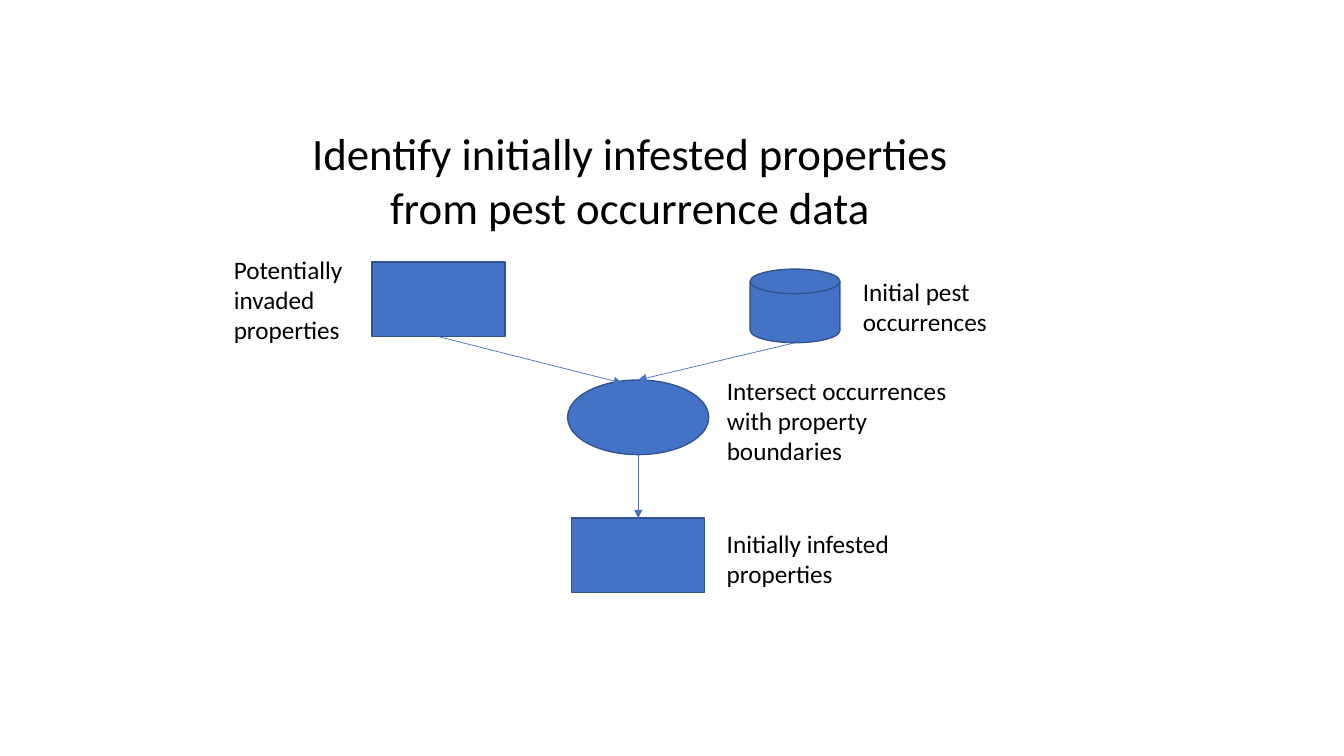
"""Build a flow slide on finding initially infested properties."""
from lxml import etree
from pptx import Presentation
from pptx.dml.color import RGBColor
from pptx.enum.shapes import MSO_CONNECTOR, MSO_SHAPE
from pptx.enum.text import MSO_AUTO_SIZE, PP_ALIGN
from pptx.oxml.ns import qn
from pptx.util import Inches, Pt

BLUE = RGBColor(0x44, 0x72, 0xC4)
DARK_BLUE = RGBColor(0x32, 0x54, 0x91)
BLACK = RGBColor(0, 0, 0)

NODES = {
    "occurrences": (MSO_SHAPE.FLOWCHART_MAGNETIC_DISK, (7.44, 2.67, 0.89, 0.73)),
    "intersect": (MSO_SHAPE.OVAL, (5.63, 3.77, 1.4, 0.74)),
    "infested": (MSO_SHAPE.RECTANGLE, (5.67, 5.14, 1.32, 0.74)),
    "invaded": (MSO_SHAPE.RECTANGLE, (3.69, 2.6, 1.32, 0.74)),
}
TEXTS = [
    ("Initial pest occurrences", (8.46, 2.69, 1.48, 0.71), 18, PP_ALIGN.LEFT),
    ("Intersect occurrences with property boundaries", (7.11, 3.67, 2.58, 1.01), 18, PP_ALIGN.LEFT),
    ("Initially infested properties", (7.11, 5.19, 2.53, 0.71), 18, PP_ALIGN.LEFT),
    ("Potentially invaded properties", (2.22, 2.47, 1.39, 1.01), 18, PP_ALIGN.LEFT),
    ("Identify initially infested properties from pest occurrence data",
     (2.96, 1.2, 6.58, 1.18), 32, PP_ALIGN.CENTER),
]
ARROWS = [
    ("invaded", "intersect", (-0.16, 0.03)),
    ("occurrences", "intersect", (0, 0)),
    ("intersect", "infested", (0, 0)),
]


def add_node(slide, kind, box):
    shape = slide.shapes.add_shape(kind, *map(Inches, box))
    shape.shadow.inherit = False
    shape.fill.solid()
    shape.fill.fore_color.rgb = BLUE
    shape.line.color.rgb = DARK_BLUE
    shape.line.width = Pt(1)


def add_text(slide, text, box, size, alignment):
    frame = slide.shapes.add_textbox(*map(Inches, box)).text_frame
    frame.word_wrap = True
    frame.auto_size = MSO_AUTO_SIZE.SHAPE_TO_FIT_TEXT
    paragraph = frame.paragraphs[0]
    paragraph.alignment = alignment
    run = paragraph.add_run()
    run.text = text
    for name, value in {"name": "Calibri", "size": Pt(size)}.items():
        setattr(run.font, name, value)
    run.font.color.rgb = BLACK


def add_arrow(slide, source, target, offset):
    left, top, width, height = NODES[source][1]
    target_left, target_top, target_width, _ = NODES[target][1]
    start = (left + width / 2, top + height)
    end = (target_left + target_width / 2 + offset[0], target_top + offset[1])
    arrow = slide.shapes.add_connector(MSO_CONNECTOR.STRAIGHT, *map(Inches, start + end))
    arrow.line.color.rgb = BLUE
    arrow.line.width = Pt(0.5)
    line = arrow.line._get_or_add_ln()
    etree.SubElement(line, qn("a:tailEnd"), type="triangle")
    etree.SubElement(arrow._element.spPr, qn("a:effectLst"))


def main():
    presentation = Presentation()
    presentation.slide_width = Inches(13.33)
    presentation.slide_height = Inches(7.5)
    slide = presentation.slides.add_slide(presentation.slide_layouts[6])
    for kind, box in NODES.values():
        add_node(slide, kind, box)
    for text in TEXTS:
        add_text(slide, *text)
    for arrow in ARROWS:
        add_arrow(slide, *arrow)
    presentation.save("out.pptx")


if __name__ == "__main__":
    main()
